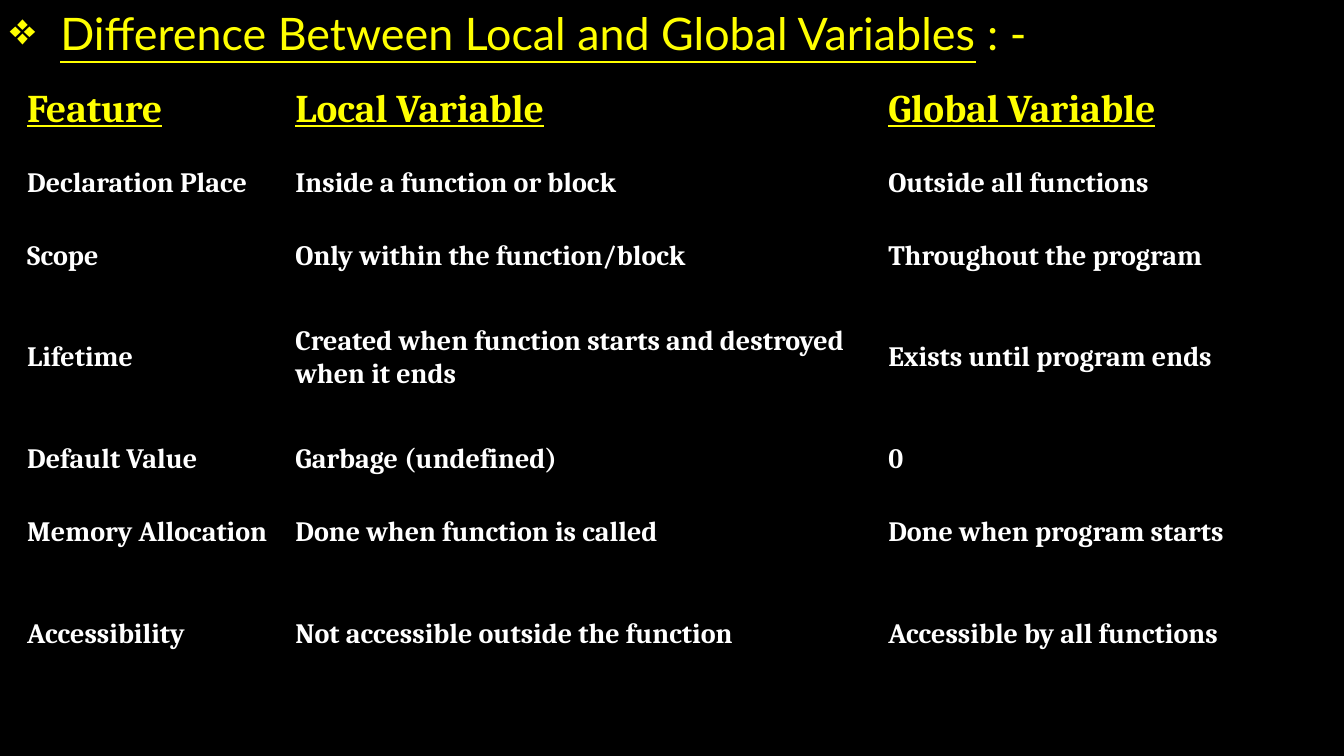
from lxml import etree
from pptx import Presentation
from pptx.dml.color import RGBColor
from pptx.enum import text
from pptx.oxml import ns
from pptx.util import Inches, Pt

TITLE = [("Difference Between Local and Global Variables", True), (" : -", False)]
ROWS = [
    ("Feature", "Local Variable", "Global Variable"),
    ("Declaration Place", "Inside a function or block", "Outside all functions"),
    ("Scope", "Only within the function/block", "Throughout the program"),
    ("Lifetime", "Created when function starts and destroyed when it ends",
     "Exists until program ends"),
    ("Default Value", "Garbage (undefined)", "0"),
    ("Memory Allocation", "Done when function is called", "Done when program starts"),
    ("Accessibility", "Not accessible outside the function",
     "Accessible by all functions"),
]
COL_WIDTHS = [2.66, 5.88, 4.27]
ROW_HEIGHT, TALL_HEIGHT = 0.73, 1.28
TALL_ROWS = {"Lifetime", "Accessibility"}
YELLOW, WHITE, BLACK = "FFFF00", "FFFFFF", "000000"
TITLE_FONT = {"name": "Lato", "size": Pt(32)}
HEAD_FONT = {"name": "Cambria", "size": Pt(28), "bold": True, "underline": True}
BODY_FONT = {"name": "Cambria", "size": Pt(20), "bold": True}
NO_GRID_STYLE = "{2D5ABB26-0587-4C30-8999-92F81FD0307C}"


def rgb(value):
    return RGBColor.from_string(value)


def add_run(p, words, color, font):
    r = p.add_run()
    r.text = words
    for name, value in font.items():
        setattr(r.font, name, value)
    r.font.color.rgb = rgb(color)


def add_bullet(p, char, indent):
    pPr = p._p.get_or_add_pPr()
    pPr.set("marL", str(indent))
    pPr.set("indent", str(-indent))
    etree.SubElement(pPr, ns.qn("a:buChar")).set("char", char)


def add_title(s):
    tf = s.shapes.add_textbox(0, 0, Inches(13.24), Inches(0.72)).text_frame
    tf.word_wrap = True
    tf.vertical_anchor = text.MSO_ANCHOR.MIDDLE
    p = tf.paragraphs[0]
    add_bullet(p, "❖", Inches(0.5))
    p.line_spacing = 0.9
    for words, underline in TITLE:
        add_run(p, words, YELLOW, {**TITLE_FONT, "underline": underline})


def add_comparison(s):
    heights = [TALL_HEIGHT if row[0] in TALL_ROWS else ROW_HEIGHT for row in ROWS]
    table = s.shapes.add_table(
        len(ROWS), len(COL_WIDTHS), Inches(0.17), Inches(0.72),
        Inches(sum(COL_WIDTHS)), Inches(sum(heights))).table
    table._tbl.tblPr.find(ns.qn("a:tableStyleId")).text = NO_GRID_STYLE
    table.horz_banding = False
    for column, width in zip(table.columns, COL_WIDTHS):
        column.width = Inches(width)
    for i, (row, height) in enumerate(zip(ROWS, heights)):
        table.rows[i].height = Inches(height)
        color, font = (WHITE, BODY_FONT) if i else (YELLOW, HEAD_FONT)
        for j, words in enumerate(row):
            cell = table.cell(i, j)
            cell.fill.background()
            cell.vertical_anchor = text.MSO_ANCHOR.MIDDLE
            add_run(cell.text_frame.paragraphs[0], words, color, font)


def main():
    prs = Presentation()
    prs.slide_width, prs.slide_height = Inches(13.33), Inches(7.5)
    s = prs.slides.add_slide(prs.slide_layouts[6])
    s.background.fill.solid()
    s.background.fill.fore_color.rgb = rgb(BLACK)
    add_title(s)
    add_comparison(s)
    prs.save("out.pptx")


if __name__ == "__main__":
    main()
